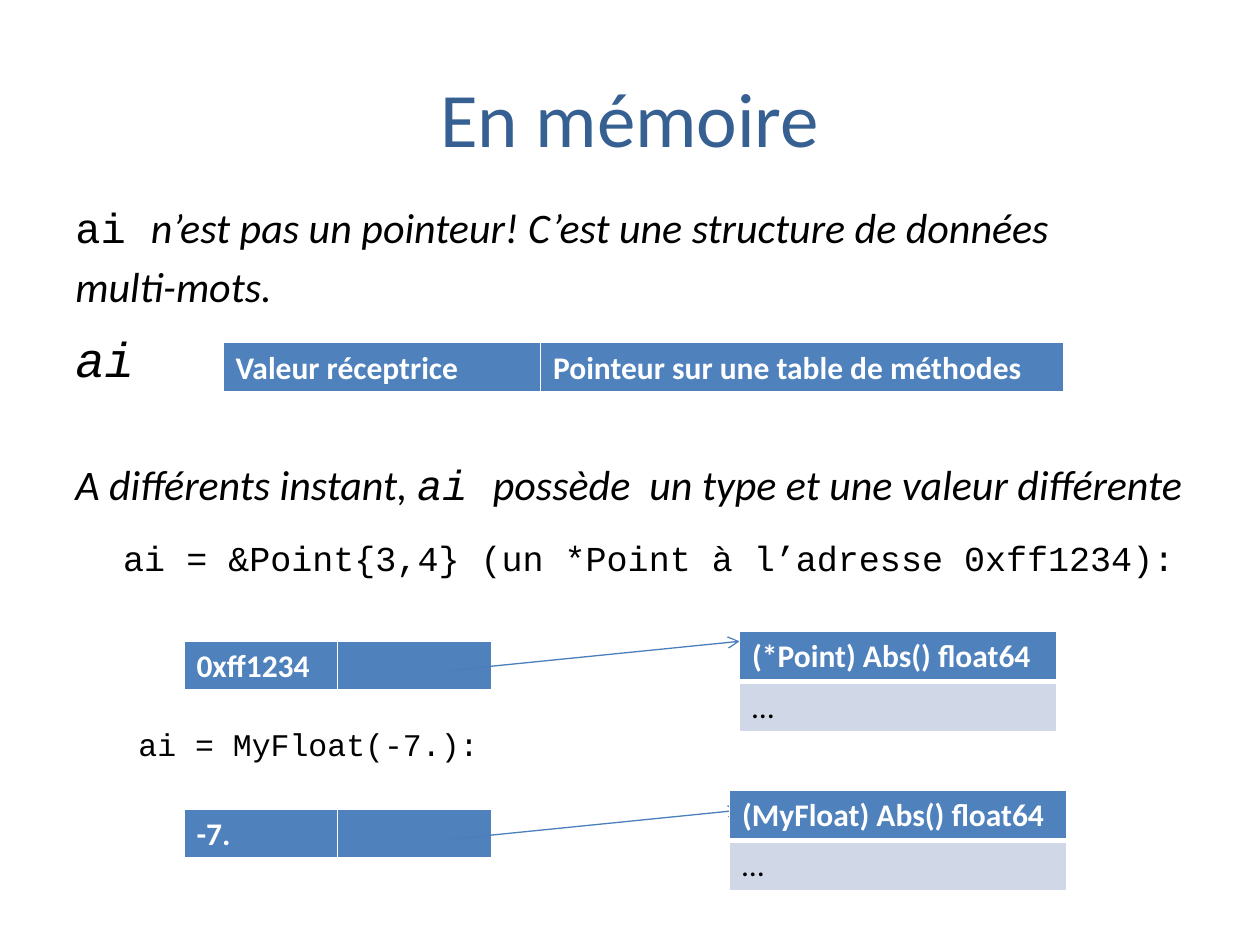
from lxml import etree
from pptx import Presentation
from pptx.dml.color import RGBColor
from pptx.enum import shapes, text
from pptx.oxml.ns import qn
from pptx.util import Inches, Pt

SANS, MONO = "Calibri", "Courier New"
BLUE, PALE, WHITE, BLACK = "4F81BD", "D0D8E8", "FFFFFF", "000000"
TITLE = "En mémoire"

# left margin (in), space before (pt), runs of (text, font, size, italic)
BODY = [
    (0, 0, [("ai ", MONO, 24, False),
            ("n’est pas un pointeur! C’est une structure de données", SANS, 24, True)]),
    (0, 4.8, [("multi-mots.", SANS, 24, True)]),
    (0, 10, [("ai", MONO, 28, True)]),
    (0, 41, [("A différents instant, ", SANS, 24, True),
             ("ai ", MONO, 24, True),
             ("possède  un type et une valeur différente", SANS, 24, True)]),
    (0.38, 15.5, [("ai = &Point{3,4} (un *Point à l’adresse 0xff1234):", MONO, 20, False)]),
    (0.5, 84, [("ai = MyFloat(-7.):", MONO, 18, False)]),
]

# left, top, column widths, rows
VALUE_TABLES = [
    (1.77, 2.72, [2.52, 4.15], [["Valeur réceptrice", "Pointeur sur une table de méthodes"]]),
    (1.46, 5.09, [1.22, 1.22], [["0xff1234", ""]]),
    (1.46, 6.42, [1.22, 1.22], [["-7.", ""]]),
]
METHOD_TABLES = [
    (5.87, 5.01, [2.52], [["(*Point) Abs() float64"], ["…"]]),
    (5.79, 6.27, [2.68], [["(MyFloat) Abs() float64"], ["…"]]),
]
ARROWS = [(3.58, 5.32, 5.87, 5.09), (3.58, 6.66, 5.87, 6.43)]
ROW_H = 0.4


def rgb(value):
    return RGBColor.from_string(value)


def add_text_frame(slide, left, top, width, height):
    tf = slide.shapes.add_textbox(*map(Inches, (left, top, width, height))).text_frame
    tf.word_wrap = True
    return tf


def set_borders(cell, bottom):
    """White cell borders, 1 pt except for the bottom one."""
    tc_pr = cell._tc.get_or_add_tcPr()
    for i, (side, width) in enumerate(zip("LRTB", (1, 1, 1, bottom))):
        ln = etree.Element(qn(f"a:ln{side}"), w=str(Pt(width)))
        fill = etree.SubElement(ln, qn("a:solidFill"))
        etree.SubElement(fill, qn("a:srgbClr"), val=WHITE)
        tc_pr.insert(i, ln)


def add_table(slide, left, top, widths, rows):
    """Table whose first row is a header."""
    table = slide.shapes.add_table(
        len(rows), len(widths), Inches(left), Inches(top),
        Inches(sum(widths)), Inches(ROW_H * len(rows))).table
    table.first_row = table.horz_banding = False
    for column, width in zip(table.columns, widths):
        column.width = Inches(width)
    for r, row in enumerate(rows):
        header = r == 0
        for c, value in enumerate(row):
            cell = table.cell(r, c)
            cell.text = value
            cell.fill.solid()
            cell.fill.fore_color.rgb = rgb(BLUE if header else PALE)
            font = cell.text_frame.paragraphs[0].font
            font.name, font.size, font.bold = SANS, Pt(18), header
            font.color.rgb = rgb(WHITE if header else BLACK)
            set_borders(cell, 3 if header else 1)


def add_arrow(slide, *ends):
    line = slide.shapes.add_connector(shapes.MSO_CONNECTOR.STRAIGHT, *map(Inches, ends))
    line.line.color.rgb = rgb("4B7EBC")
    line.line.width = Pt(0.75)
    etree.SubElement(line.line._get_or_add_ln(), qn("a:tailEnd"), type="arrow")
    etree.SubElement(line._element.spPr, qn("a:effectLst"))


def main():
    prs = Presentation()
    prs.slide_width, prs.slide_height = Inches(10), Inches(7.5)
    slide = prs.slides.add_slide(prs.slide_layouts[6])

    tf = add_text_frame(slide, 0.5, 0.3, 9, 1.25)
    tf.vertical_anchor = text.MSO_ANCHOR.MIDDLE
    p = tf.paragraphs[0]
    p.text, p.alignment = TITLE, text.PP_ALIGN.CENTER
    p.font.name, p.font.size = SANS, Pt(44)
    p.font.color.rgb = rgb("376092")

    tf = add_text_frame(slide, 0.5, 1.55, 9, 5.15)
    for i, (margin, before, runs) in enumerate(BODY):
        p = tf.add_paragraph() if i else tf.paragraphs[0]
        p.space_before = Pt(before)
        p._p.get_or_add_pPr().set("marL", str(Inches(margin)))
        for value, name, size, italic in runs:
            r = p.add_run()
            r.text = value
            r.font.name, r.font.size, r.font.italic = name, Pt(size), italic
            r.font.color.rgb = rgb(BLACK)

    for spec in VALUE_TABLES:
        add_table(slide, *spec)
    for ends in ARROWS:
        add_arrow(slide, *ends)
    for spec in METHOD_TABLES:
        add_table(slide, *spec)
    prs.save("out.pptx")


if __name__ == "__main__":
    main()
